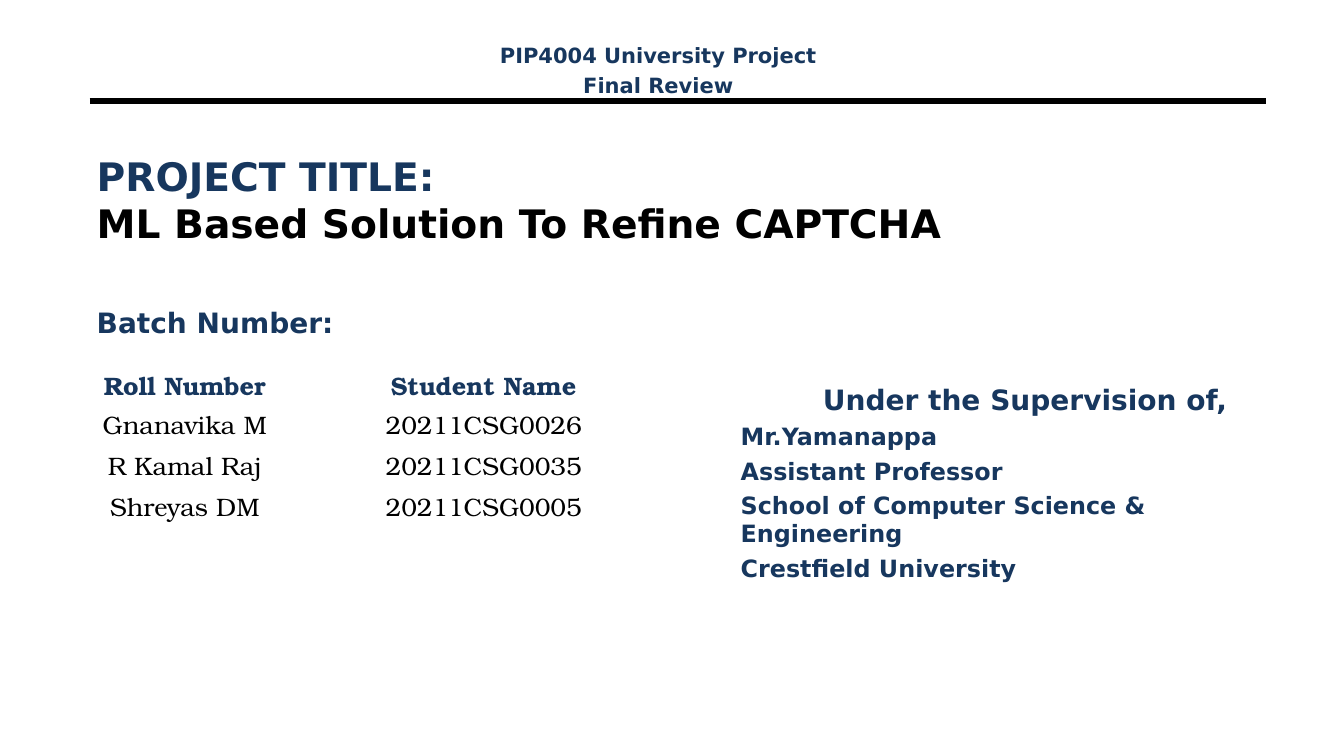
import pptx
import pptx.dml.color
import pptx.enum.shapes
import pptx.enum.text
import pptx.oxml
import pptx.oxml.ns
import pptx.util

Pt = pptx.util.Pt
ALIGN = pptx.enum.text.PP_ALIGN
ANCHOR = pptx.enum.text.MSO_ANCHOR

COLOURS = {"navy": "17375E", "black": "000000"}
SANS, SERIF = "DejaVu Sans", "TeX Gyre Bonum"

STUDENTS = [
    ("Roll Number", "Student Name"),
    ("Gnanavika M", "20211CSG0026"),
    ("R Kamal Raj", "20211CSG0035"),
    ("Shreyas DM", "20211CSG0005"),
    ("", ""),
    ("", ""),
]
SUPERVISOR = [
    "Mr.Yamanappa",
    "Assistant Professor",
    "School of Computer Science & Engineering",
    "Crestfield University",
]


def colour(name):
    return pptx.dml.color.RGBColor.from_string(COLOURS[name])


def add_span(para, text, size, tint="navy", bold=True, font=SANS):
    span = para.add_run()
    span.text = text
    span.font.size = Pt(size)
    span.font.name = font
    span.font.bold = bold
    span.font.color.rgb = colour(tint)


def add_box(page, left, top, width, height, anchor=ANCHOR.TOP):
    box = page.shapes.add_textbox(Pt(left), Pt(top), Pt(width), Pt(height))
    box.text_frame.word_wrap = True
    box.text_frame.vertical_anchor = anchor
    return box.text_frame


def add_lines(frame, lines):
    """Write one paragraph for each (text, size, alignment)."""
    for index, (text, size, align) in enumerate(lines):
        para = frame.add_paragraph() if index else frame.paragraphs[0]
        para.alignment = align
        para.space_before = Pt(round(size * 0.235, 1))
        add_span(para, text, size)


def add_rule(page, left, right, y, weight):
    rule = page.shapes.add_connector(
        pptx.enum.shapes.MSO_CONNECTOR.STRAIGHT, Pt(left), Pt(y), Pt(right), Pt(y))
    rule.line.color.rgb = colour("black")
    rule.line.width = Pt(weight)
    properties = rule.element.find(pptx.oxml.ns.qn("p:spPr"))
    properties.append(pptx.oxml.parse_xml(
        "<a:effectLst %s/>" % pptx.oxml.ns.nsdecls("a")))


def add_student_table(page, left, top, widths, row_height):
    table = page.shapes.add_table(
        len(STUDENTS), len(widths), Pt(left), Pt(top),
        Pt(sum(widths)), Pt(row_height * len(STUDENTS))).table
    table.horz_banding = False
    for column, width in zip(table.columns, widths):
        column.width = Pt(width)
    for row, values in enumerate(STUDENTS):
        header = row == 0
        for column, text in enumerate(values):
            cell = table.cell(row, column)
            cell.fill.background()
            cell.vertical_anchor = ANCHOR.MIDDLE
            remove_borders(cell)
            if text:
                para = cell.text_frame.paragraphs[0]
                para.alignment = ALIGN.CENTER
                add_span(para, text, 18, "navy" if header else "black", header, SERIF)


def remove_borders(cell):
    properties = cell._tc.get_or_add_tcPr()
    for index, side in enumerate(("lnL", "lnR", "lnT", "lnB")):
        properties.insert(index, pptx.oxml.parse_xml(
            '<a:%s %s w="0"><a:noFill/></a:%s>'
            % (side, pptx.oxml.ns.nsdecls("a"), side)))


def main():
    deck = pptx.Presentation()
    deck.slide_width, deck.slide_height = Pt(960), Pt(540)
    page = deck.slides.add_slide(deck.slide_layouts[6])

    # Header and rule
    add_rule(page, 64, 904.5, 72, 4.5)
    add_lines(add_box(page, 314, 26.5, 312.5, 43), [
        ("PIP4004 University Project", 15, ALIGN.CENTER),
        ("Final Review", 15, ALIGN.CENTER)])

    # Project title
    title = add_box(page, 62, 84.5, 816, 116, ANCHOR.MIDDLE).paragraphs[0]
    add_span(title, "PROJECT TITLE:", 28)
    title.add_line_break()
    add_span(title, "ML Based Solution To Refine CAPTCHA", 28, "black")

    # Batch and students
    add_lines(add_box(page, 62, 214.5, 312.5, 43),
              [("Batch Number:", 20, ALIGN.LEFT)])
    add_student_table(page, 50, 258, (164, 263), 29.5)

    # Supervisor
    add_lines(add_box(page, 522, 270, 420.5, 179),
              [("Under the Supervision of,", 20, ALIGN.CENTER)]
              + [(text, 17, ALIGN.LEFT) for text in SUPERVISOR])

    deck.save("out.pptx")


if __name__ == "__main__":
    main()
